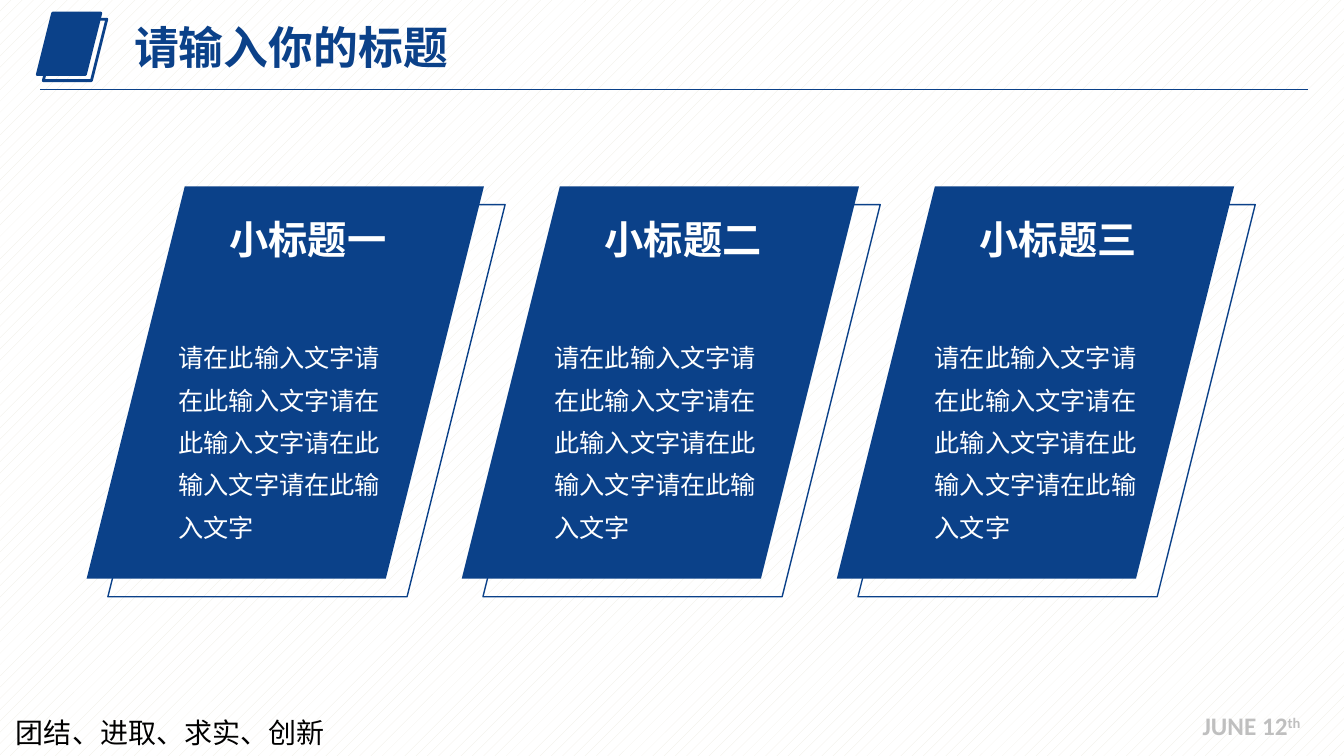
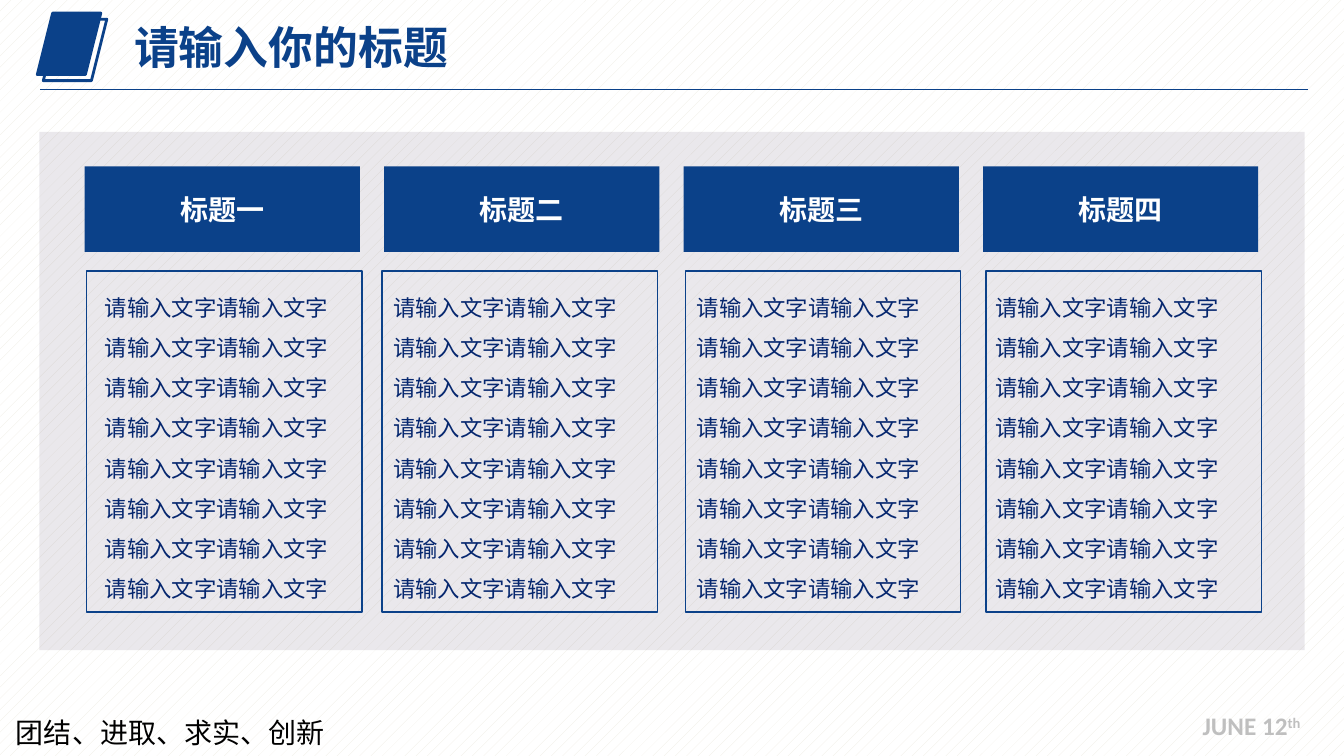
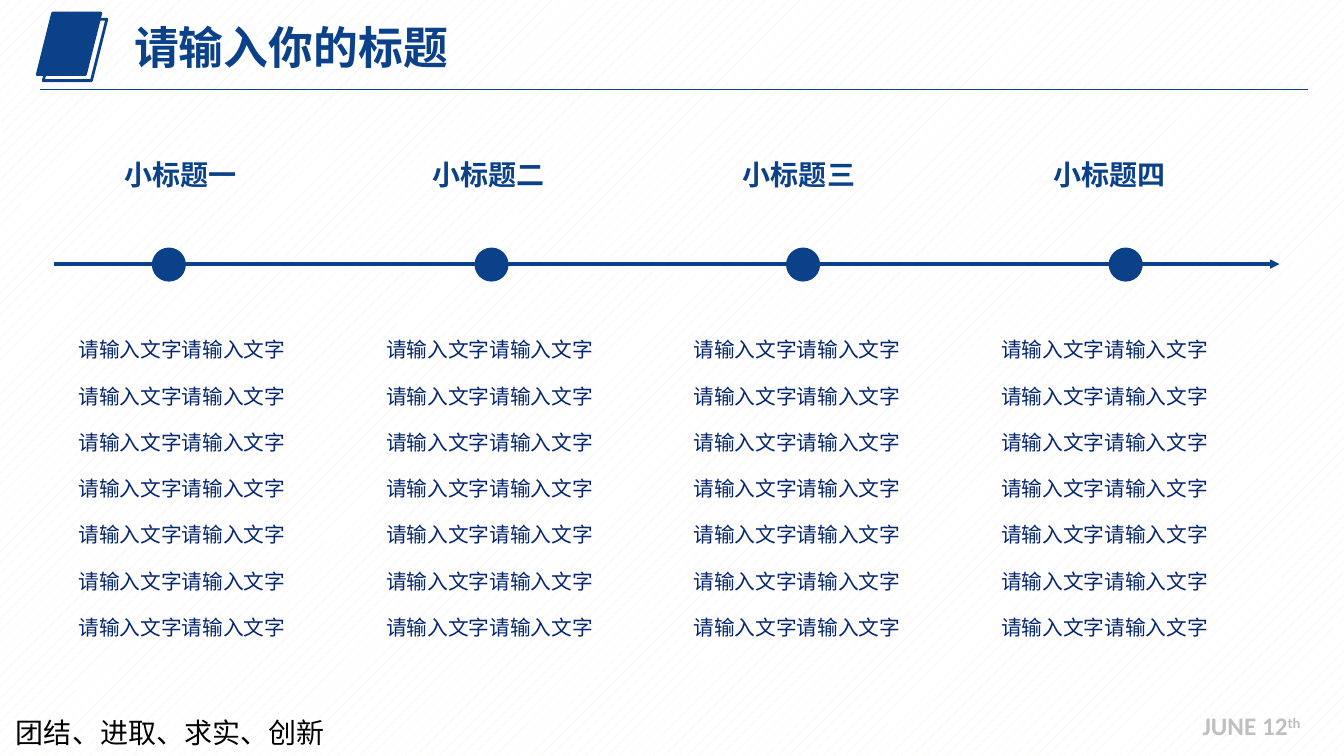
import dataclasses
import typing

import lxml.etree
import pptx
import pptx.dml.color
import pptx.enum.dml
import pptx.enum.shapes
import pptx.enum.text
import pptx.oxml.ns
import pptx.shapes.autoshape
import pptx.shapes.connector
import pptx.slide
import pptx.text.text
import pptx.util

Inches = pptx.util.Inches
Pt = pptx.util.Pt
Shape = pptx.shapes.autoshape.Shape
Slide = pptx.slide.Slide
PRESET = pptx.enum.shapes.MSO_SHAPE
ALIGN = pptx.enum.text.PP_ALIGN
ANCHOR = pptx.enum.text.MSO_ANCHOR

BLUE = "0B4189"
NAVY = "06276F"
WHITE = "FFFFFF"
GREY = "BFBFBF"
BLACK = "000000"
PLUM = "36254B"
PATTERN_DOT = "EEECE1"
SANS = "Noto Sans CJK SC"
COMPARISON_LAYOUT = 4

SLIDE_TITLE = "请输入你的标题"
MOTTO = "团结、进取、求实、创新"
CARD_TEXT = "请在此输入文字" * 5
LIST_LINE = "请输入文字" * 2


@dataclasses.dataclass(frozen=True)
class Box:
    """Position and size in inches."""

    left: float
    top: float
    width: float
    height: float

    def moved(self, right: float, down: float) -> "Box":
        """Return the same box shifted by the given distances."""
        return Box(self.left + right, self.top + down, self.width, self.height)

    def lengths(self) -> tuple[int, int, int, int]:
        """Return the four values as slide lengths."""
        return (Inches(self.left), Inches(self.top), Inches(self.width), Inches(self.height))


@dataclasses.dataclass(frozen=True)
class TextStyle:
    """Look of one block of text."""

    size: float
    colour: str
    bold: bool = False
    font: str = SANS
    align: ALIGN = ALIGN.LEFT
    anchor: ANCHOR = ANCHOR.TOP
    line_spacing: float = 1.0
    space_before: float = 0
    wrap: bool = True


@dataclasses.dataclass(frozen=True)
class Card:
    """One slanted card: its heading and the left edge of its text."""

    heading: str
    text_left: float


@dataclasses.dataclass(frozen=True)
class Column:
    """One headed column: left edges of its frame and its list."""

    heading: str
    frame_left: float
    list_left: float


@dataclasses.dataclass(frozen=True)
class Milestone:
    """One timeline stop: left edges of its heading and its dot."""

    heading: str
    heading_left: float
    dot_left: float


TITLE_STYLE = TextStyle(32, BLUE, bold=True, line_spacing=0.9)
MOTTO_STYLE = TextStyle(20, BLACK, font="Noto Sans CJK JP")
DATE_STYLE = TextStyle(18, GREY, bold=True, font="Calibri", wrap=False)
CARD_HEADING_STYLE = TextStyle(28, WHITE, bold=True)
CARD_TEXT_STYLE = TextStyle(18, WHITE, line_spacing=1.4)
COLUMN_HEADING_STYLE = TextStyle(20, WHITE, bold=True, align=ALIGN.CENTER, anchor=ANCHOR.MIDDLE)
COLUMN_LIST_STYLE = TextStyle(16, NAVY, line_spacing=1.5)
MILESTONE_HEADING_STYLE = TextStyle(20, BLUE, bold=True, line_spacing=0.8)
MILESTONE_LIST_STYLE = TextStyle(14.8, NAVY, line_spacing=1.3, space_before=10)

CARDS = [Card("小标题一", 1.67), Card("小标题二", 5.4), Card("小标题三", 9.17)]
COLUMNS = [
    Column("标题一", 0.86, 0.94),
    Column("标题二", 3.79, 3.8),
    Column("标题三", 6.8, 6.81),
    Column("标题四", 9.78, 9.77),
]
MILESTONES = [
    Milestone("小标题一", 1.14, 1.52),
    Milestone("小标题二", 4.19, 4.72),
    Milestone("小标题三", 7.27, 7.81),
    Milestone("小标题四", 10.35, 11.01),
]


def rgb(colour: str) -> pptx.dml.color.RGBColor:
    """Turn a hex string into a colour."""
    return pptx.dml.color.RGBColor.from_string(colour)


def add_run(paragraph: pptx.text.text._Paragraph, text: str, style: TextStyle) -> pptx.text.text._Run:
    """Add one formatted run."""
    run = paragraph.add_run()
    run.text = text
    run.font.size = Pt(style.size)
    run.font.bold = style.bold
    run.font.color.rgb = rgb(style.colour)
    run.font.name = style.font
    properties = run._r.get_or_add_rPr()
    lxml.etree.SubElement(properties, pptx.oxml.ns.qn("a:ea"), typeface=style.font)
    return run


def write(frame: pptx.text.text.TextFrame, lines: typing.Sequence[str], style: TextStyle) -> None:
    """Fill a text frame with one unbulleted paragraph per line."""
    frame.auto_size = pptx.enum.text.MSO_AUTO_SIZE.NONE
    frame.word_wrap = style.wrap
    frame.vertical_anchor = style.anchor
    for index, line in enumerate(lines):
        paragraph = frame.add_paragraph() if index else frame.paragraphs[0]
        properties = paragraph._p.get_or_add_pPr()
        properties.set("marL", "0")
        properties.set("indent", "0")
        lxml.etree.SubElement(properties, pptx.oxml.ns.qn("a:buNone"))
        paragraph.alignment = style.align
        paragraph.line_spacing = style.line_spacing
        paragraph.space_before = Pt(style.space_before if index else 0)
        add_run(paragraph, line, style)


def add_text(slide: Slide, box: Box, text: str, style: TextStyle) -> Shape:
    """Add a text box holding one paragraph."""
    label = slide.shapes.add_textbox(*box.lengths())
    write(label.text_frame, [text], style)
    return label


def fill_placeholder(
    slide: Slide, index: int, box: Box, lines: typing.Sequence[str], style: TextStyle
) -> None:
    """Place a template placeholder in front and write its text."""
    holder = next(item for item in slide.placeholders if item.placeholder_format.idx == index)
    holder.left, holder.top, holder.width, holder.height = box.lengths()
    slide.shapes.element.append(holder.element)
    write(holder.text_frame, lines, style)


def add_preset(
    shapes: typing.Any,
    preset: PRESET,
    box: Box,
    fill: str | None = None,
    line: float = 0,
) -> Shape:
    """Add a preset shape with an optional fill and blue outline."""
    shape = shapes.add_shape(preset, *box.lengths())
    shape.shadow.inherit = False
    if fill:
        shape.fill.solid()
        shape.fill.fore_color.rgb = rgb(fill)
    else:
        shape.fill.background()
    if line:
        shape.line.color.rgb = rgb(BLUE)
        shape.line.width = Pt(line)
    else:
        shape.line.fill.background()
    return shape


def add_rule(
    slide: Slide, left: float, right: float, height: float, width: float
) -> pptx.shapes.connector.Connector:
    """Add a horizontal blue line."""
    rule = slide.shapes.add_connector(
        pptx.enum.shapes.MSO_CONNECTOR.STRAIGHT,
        Inches(left), Inches(height), Inches(right), Inches(height),
    )
    rule.line.color.rgb = rgb(BLUE)
    rule.line.width = Pt(width)
    lxml.etree.SubElement(rule._element.spPr, pptx.oxml.ns.qn("a:effectLst"))
    return rule


def add_base_slide(deck: pptx.presentation.Presentation) -> Slide:
    """Add a slide with the shared header and footer."""
    slide = deck.slides.add_slide(deck.slide_layouts[COMPARISON_LAYOUT])
    add_text(slide, Box(0.06, 7.05, 3.81, 0.44), MOTTO, MOTTO_STYLE)
    emblem = slide.shapes.add_group_shape().shapes
    plate = Box(0.37, 0.13, 0.63, 0.61)
    add_preset(emblem, PRESET.PARALLELOGRAM, plate, BLUE, 2)
    add_preset(emblem, PRESET.PARALLELOGRAM, plate.moved(0.06, 0.06), line=2)
    add_rule(slide, 0.4, 12.97, 0.89, 0.75)
    fill_placeholder(slide, 0, Box(1.23, 0.21, 5.51, 0.67), [SLIDE_TITLE], TITLE_STYLE)
    date = add_text(slide, Box(11.83, 7, 1.2, 0.4), "JUNE 12", DATE_STYLE)
    ordinal = add_run(date.text_frame.paragraphs[0], "th", DATE_STYLE)
    ordinal._r.get_or_add_rPr().set("baseline", "30000")
    return slide


def add_cards_slide(deck: pptx.presentation.Presentation) -> None:
    """Build the slide of slanted cards."""
    slide = add_base_slide(deck)
    for index, card in enumerate(CARDS):
        face = Box(0.86 + 3.72 * index, 1.85, 3.94, 3.89)
        add_preset(slide.shapes, PRESET.PARALLELOGRAM, face.moved(0.21, 0.18), line=1)
        add_preset(slide.shapes, PRESET.PARALLELOGRAM, face, BLUE)
        add_text(slide, Box(face.left + 1.32, 2.09, 2.1, 0.57), card.heading, CARD_HEADING_STYLE)
        text_box = Box(card.text_left, 3.23, 2.23, 2.6)
        fill_placeholder(slide, index + 1, text_box, [CARD_TEXT], CARD_TEXT_STYLE)
    for holder in list(slide.placeholders):
        if holder.placeholder_format.idx > len(CARDS):
            slide.shapes.element.remove(holder.element)


def add_columns_slide(deck: pptx.presentation.Presentation) -> None:
    """Build the slide of headed columns."""
    slide = add_base_slide(deck)
    panel = add_preset(slide.shapes, PRESET.RECTANGLE, Box(0.39, 1.31, 12.55, 5.14), PLUM)
    tint = panel._element.spPr.find(".//" + pptx.oxml.ns.qn("a:srgbClr"))
    lxml.etree.SubElement(tint, pptx.oxml.ns.qn("a:alpha"), val="10000")
    for index, column in enumerate(COLUMNS):
        heading_box = Box(0.84 + 2.97 * index, 1.65, 2.73, 0.85)
        heading = add_preset(slide.shapes, PRESET.RECTANGLE, heading_box, BLUE)
        write(heading.text_frame, [column.heading], COLUMN_HEADING_STYLE)
        add_preset(slide.shapes, PRESET.RECTANGLE, Box(column.frame_left, 2.69, 2.73, 3.38), line=1)
        list_box = Box(column.list_left, 2.73, 2.6, 3.28)
        fill_placeholder(slide, index + 1, list_box, [LIST_LINE] * 8, COLUMN_LIST_STYLE)


def add_timeline_slide(deck: pptx.presentation.Presentation) -> None:
    """Build the slide of milestones along an arrow."""
    slide = add_base_slide(deck)
    axis = add_rule(slide, 0.54, 12.69, 2.62, 2.25)
    lxml.etree.SubElement(axis.line._get_or_add_ln(), pptx.oxml.ns.qn("a:tailEnd"), type="triangle")
    for index, stop in enumerate(MILESTONES):
        heading_box = Box(stop.heading_left, 1.58, 1.37, 0.4)
        add_text(slide, heading_box, stop.heading, MILESTONE_HEADING_STYLE)
        add_preset(slide.shapes, PRESET.OVAL, Box(stop.dot_left, 2.47, 0.31, 0.31), BLUE, 2)
        list_box = Box(0.68 + 3.05 * index, 3.22, 2.6, 3.21)
        fill_placeholder(slide, index + 1, list_box, [LIST_LINE] * 7, MILESTONE_LIST_STYLE)


def main() -> None:
    """Build and save the deck."""
    deck = pptx.Presentation()
    deck.slide_width = Inches(13.33)
    deck.slide_height = Inches(7.5)
    backdrop = deck.slide_master.background.fill
    backdrop.patterned()
    backdrop.pattern = pptx.enum.dml.MSO_PATTERN.PERCENT_10
    backdrop.fore_color.rgb = rgb(PATTERN_DOT)
    backdrop.back_color.rgb = rgb(WHITE)
    add_cards_slide(deck)
    add_columns_slide(deck)
    add_timeline_slide(deck)
    deck.save("out.pptx")


if __name__ == "__main__":
    main()
